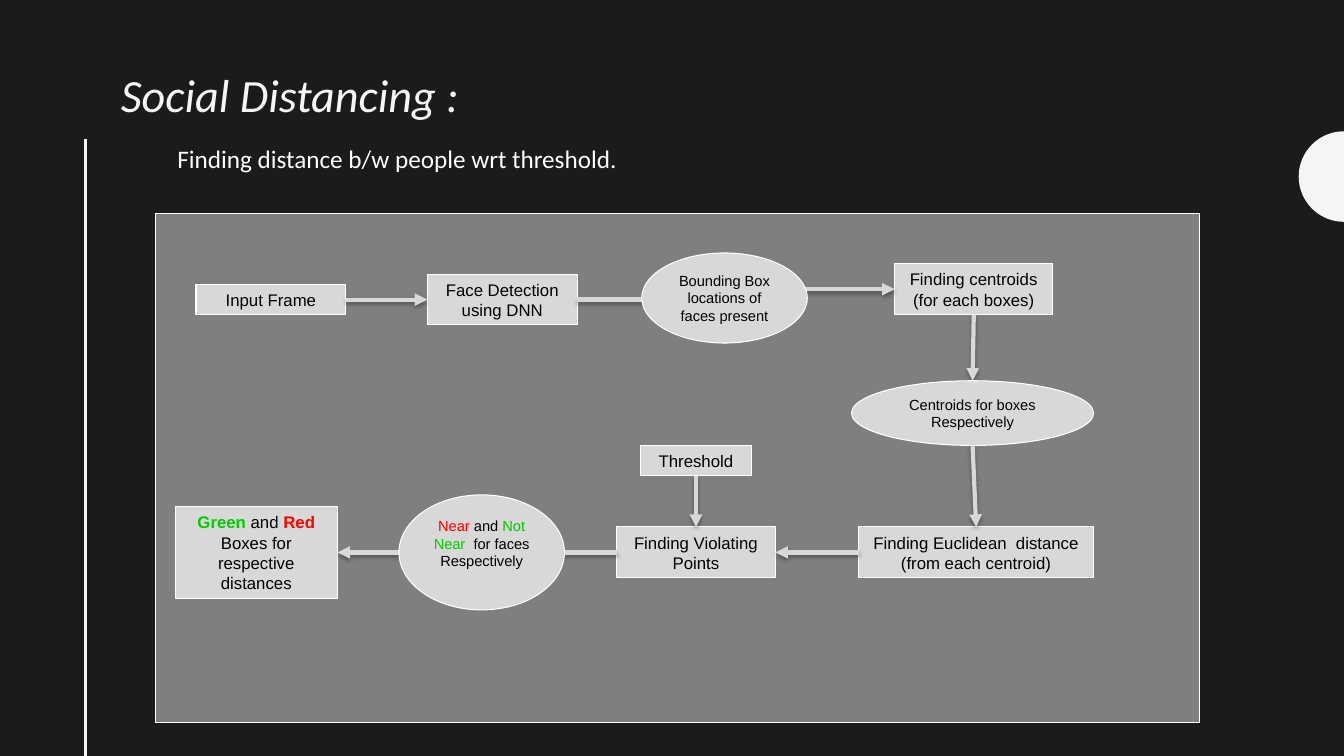
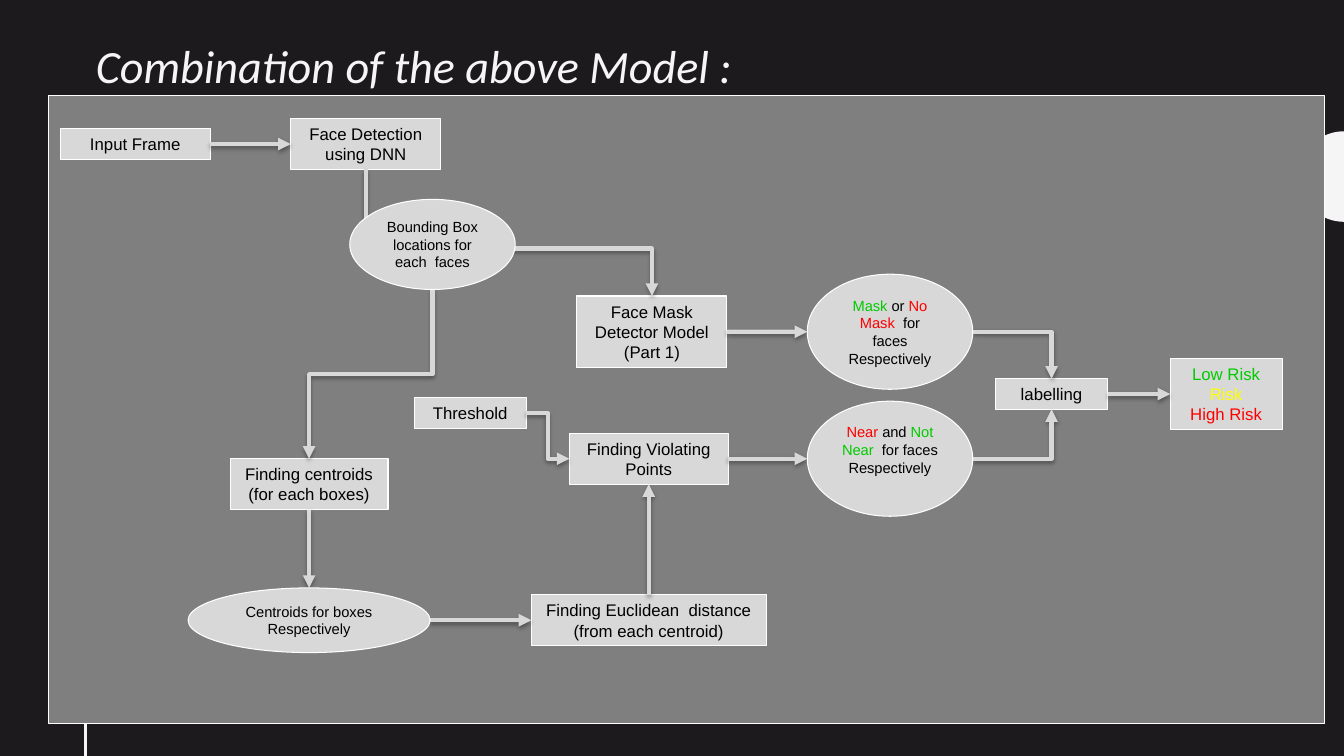
from dataclasses import dataclass
from math import cos, pi, sin

from lxml.etree import SubElement
from pptx import Presentation
from pptx.dml.color import RGBColor
from pptx.enum.shapes import MSO_CONNECTOR, MSO_SHAPE
from pptx.enum.text import MSO_ANCHOR, MSO_AUTO_SIZE, PP_ALIGN
from pptx.oxml.ns import qn
from pptx.util import Cm, Pt


@dataclass(frozen=True)
class Theme:
    background: RGBColor = RGBColor(0x1D, 0x1A, 0x1D)
    accent: RGBColor = RGBColor(0xF5, 0xF5, 0xF5)
    panel: RGBColor = RGBColor(0x7F, 0x7F, 0x7F)
    step: RGBColor = RGBColor(0xD8, 0xD8, 0xD8)
    white: RGBColor = RGBColor(0xFF, 0xFF, 0xFF)
    ink: RGBColor = RGBColor(0, 0, 0)
    green: RGBColor = RGBColor(0, 0xCC, 0)
    red: RGBColor = RGBColor(0xFF, 0, 0)
    yellow: RGBColor = RGBColor(0xFF, 0xFF, 0)
    heading_font: str = "Calibri"
    step_font: str = "Arial"
    title_size: Pt = Pt(33)
    lead_size: Pt = Pt(18)
    process_size: Pt = Pt(12)
    result_size: Pt = Pt(10.5)
    outline: Pt = Pt(0.75)
    link_width: Pt = Pt(3)


theme = Theme()
TOP, LEFT, BOTTOM, RIGHT = range(4)

# Processes are rectangles, results are ellipses: width, height, paragraphs.
# A paragraph is plain text or a list of (text, colour, bold) runs.
near_or_not = [("Near", theme.red, False), (" and ", theme.ink, False),
               ("Not Near ", theme.green, False),
               (" for faces Respectively", theme.ink, False)]
processes = {
    "input": (3.78, 0.77, ["Input Frame"]),
    "detection": (3.78, 1.28, ["Face Detection using DNN"]),
    "centroids": (3.98, 1.28, ["Finding centroids", "(for each boxes)"]),
    "euclidean": (5.92, 1.28, ["Finding Euclidean  distance", "(from each centroid)"]),
    "violating": (4, 1.28, ["Finding Violating Points"]),
    "threshold": (2.82, 0.77, ["Threshold"]),
    "colour boxes": (4.09, 2.31, [[
        ("Green", theme.green, True), (" and ", theme.ink, False),
        ("Red", theme.red, True), (" Boxes for respective distances", theme.ink, False)]]),
    "mask model": (3.78, 1.8, ["Face Mask Detector Model", "(Part 1)"]),
    "labelling": (2.82, 0.77, ["labelling"]),
    "risk": (2.82, 1.8, [[("Low Risk", theme.green, False)],
                         [("Risk", theme.yellow, False)],
                         [("High Risk", theme.red, False)]]),
}
results = {
    "faces present": (4.17, 2.27, ["Bounding Box locations of faces present"]),
    "each face": (4.17, 2.27, ["Bounding Box locations for each  faces"]),
    "box centroids": (6.1, 1.63, ["Centroids for boxes Respectively"]),
    "nearness": (4.17, 2.9, [near_or_not]),
    "mask result": (4.17, 2.9, [[
        ("Mask", theme.green, False), (" or ", theme.ink, False),
        ("No Mask  ", theme.red, False), ("for faces Respectively", theme.ink, False)]]),
}
steps = processes | results

# Each slide: step centres in cm, then links as
# (from, side, to, side, bends, position of the middle bend)
pages = [
    {
        "title": "Social Distancing :",
        "title_at": (2.79, 1.35),
        "lead": "Finding distance b/w people wrt threshold.",
        "panel": (3.92, 5.38, 26.31, 12.83),
        "centres": {
            "input": (6.83, 7.55), "detection": (12.66, 7.55),
            "faces present": (18.26, 7.51), "centroids": (24.54, 7.29),
            "box centroids": (24.51, 10.41), "euclidean": (24.6, 13.92),
            "violating": (17.54, 13.92), "threshold": (17.54, 11.61),
            "nearness": (12.14, 13.92), "colour boxes": (6.46, 13.92),
        },
        "links": [
            ("input", RIGHT, "detection", LEFT, 0, 0),
            ("detection", RIGHT, "centroids", LEFT, 2, 0.5),
            ("centroids", BOTTOM, "box centroids", TOP, 0, 0),
            ("box centroids", BOTTOM, "euclidean", TOP, 0, 0),
            ("euclidean", LEFT, "violating", RIGHT, 0, 0),
            ("threshold", BOTTOM, "violating", TOP, 0, 0),
            ("violating", LEFT, "colour boxes", RIGHT, 0, 0),
        ],
    },
    {
        "title": "Combination of the above Model :",
        "title_at": (2.16, 0.61),
        "lead": None,
        "panel": (1.22, 2.41, 32.16, 15.82),
        "centres": {
            "input": (3.41, 3.63), "detection": (9.22, 3.63),
            "each face": (10.9, 6.16), "mask model": (16.43, 8.36),
            "mask result": (22.43, 8.36), "centroids": (7.79, 12.2),
            "box centroids": (7.79, 15.63), "euclidean": (16.35, 15.63),
            "violating": (16.35, 11.56), "threshold": (11.85, 10.41),
            "nearness": (22.43, 11.56), "labelling": (26.5, 9.93),
            "risk": (30.9, 9.93),
        },
        "links": [
            ("input", RIGHT, "detection", LEFT, 0, 0),
            ("detection", BOTTOM, "mask model", TOP, 2, 0.625),
            ("each face", BOTTOM, "centroids", TOP, 2, 0.5),
            ("centroids", BOTTOM, "box centroids", TOP, 0, 0),
            ("box centroids", RIGHT, "euclidean", LEFT, 0, 0),
            ("euclidean", TOP, "violating", BOTTOM, 0, 0),
            ("threshold", RIGHT, "violating", LEFT, 2, 0.5),
            ("mask model", RIGHT, "mask result", LEFT, 0, 0),
            ("violating", RIGHT, "nearness", LEFT, 0, 0),
            ("mask result", RIGHT, "labelling", TOP, 1, 0),
            ("nearness", RIGHT, "labelling", BOTTOM, 1, 0),
            ("labelling", RIGHT, "risk", LEFT, 0, 0),
        ],
    },
]


def add_step(slide, step, centre):
    """Draw one labelled step around its centre."""
    width, height, paragraphs = steps[step]
    is_process = step in processes
    box = slide.shapes.add_shape(
        MSO_SHAPE.RECTANGLE if is_process else MSO_SHAPE.OVAL,
        Cm(centre[0] - width / 2), Cm(centre[1] - height / 2), Cm(width), Cm(height))
    box.shadow.inherit = False
    box.fill.solid()
    box.fill.fore_color.rgb = theme.step
    box.line.color.rgb = theme.white
    box.line.width = theme.outline
    frame = box.text_frame
    frame.word_wrap = True
    frame.vertical_anchor = MSO_ANCHOR.MIDDLE
    if step == "nearness":
        frame.margin_bottom = Cm(0.58)
    for number, content in enumerate(paragraphs):
        paragraph = frame.add_paragraph() if number else frame.paragraphs[0]
        paragraph.alignment = PP_ALIGN.CENTER
        runs = [(content, theme.ink, False)] if isinstance(content, str) else content
        for text, colour, bold in runs:
            run = paragraph.add_run()
            run.text = text
            run.font.name = theme.step_font
            run.font.size = theme.process_size if is_process else theme.result_size
            run.font.bold = bold
            run.font.color.rgb = colour
    return box


def add_link(slide, centres, boxes, link):
    """Draw an arrow between two step sides, with 0, 1 or 2 bends."""
    start, start_side, end, end_side, bends, bend_at = link
    ends = []
    for step, side in ((start, start_side), (end, end_side)):
        width, height, _ = steps[step]
        x, y = centres[step]
        ends += [x + {LEFT: -width / 2, RIGHT: width / 2}.get(side, 0),
                 y + {TOP: -height / 2, BOTTOM: height / 2}.get(side, 0)]
    x1, y1, x2, y2 = ends
    arrow = slide.shapes.add_connector(
        MSO_CONNECTOR.ELBOW if bends else MSO_CONNECTOR.STRAIGHT, *map(Cm, ends))
    if start in boxes:
        arrow.begin_connect(boxes[start], start_side)
    if end in boxes:
        arrow.end_connect(boxes[end], end_side)
    arrow.line.color.rgb = theme.step
    arrow.line.width = theme.link_width
    properties = arrow._element.spPr
    geometry = properties.find(qn("a:prstGeom"))
    if bends == 1:
        geometry.set("prst", "bentConnector2")
    elif bends == 2:
        SubElement(geometry.find(qn("a:avLst")), qn("a:gd"), name="adj1",
                   fmla=f"val {round(bend_at * 100000)}")
        if start_side == BOTTOM:
            # A route that leaves downwards is a sideways one turned by 90 degrees
            across, down = abs(x2 - x1), y2 - y1
            arrow.left, arrow.top = Cm((x1 + x2 - down) / 2), Cm((y1 + y2 - across) / 2)
            arrow.width, arrow.height = Cm(down), Cm(across)
            turn = properties.find(qn("a:xfrm"))
            turn.set("rot", "5400000")
            turn.set("flipH", "0")
            turn.set("flipV", "1" if x2 > x1 else "0")
    # Arrowhead and soft shadow
    SubElement(properties.find(qn("a:ln")), qn("a:tailEnd"), type="triangle")
    effects = SubElement(properties, qn("a:effectLst"))
    shadow = SubElement(effects, qn("a:outerShdw"), blurRad="39400", dist="22900",
                        dir="5400000", rotWithShape="0")
    black = SubElement(shadow, qn("a:srgbClr"), val="000000")
    SubElement(black, qn("a:alpha"), val="35000")


prs = Presentation()
prs.slide_width, prs.slide_height = Cm(33.87), Cm(19.05)
backdrop = prs.slide_master.background.fill
backdrop.solid()
backdrop.fore_color.rgb = theme.background

for page in pages:
    slide = prs.slides.add_slide(prs.slide_layouts[5])

    # Side rule and half disc at the right edge
    rule = slide.shapes.add_connector(
        MSO_CONNECTOR.STRAIGHT, Cm(2.16), Cm(3.51), Cm(2.16), Cm(19.05))
    rule.line.color.rgb = theme.accent
    rule.line.width = Pt(2)
    SubElement(rule._element.spPr, qn("a:effectLst"))
    arc = [(Cm(33.87 - 1.14 * sin(pi * i / 48)), Cm(4.45 - 1.14 * cos(pi * i / 48)))
           for i in range(49)]
    outline = slide.shapes.build_freeform(*arc[0])
    outline.add_line_segments(arc[1:], close=True)
    half_disc = outline.convert_to_shape()
    half_disc.shadow.inherit = False
    half_disc.fill.solid()
    half_disc.fill.fore_color.rgb = theme.accent
    half_disc.line.fill.background()

    # Title
    title = slide.shapes.title
    title.left, title.top = map(Cm, page["title_at"])
    title.width, title.height = Cm(19.53), Cm(1.96)
    title.text_frame.text = page["title"]
    title.text_frame.auto_size = MSO_AUTO_SIZE.NONE
    title.text_frame.vertical_anchor = MSO_ANCHOR.TOP
    heading = title.text_frame.paragraphs[0]
    heading.alignment = PP_ALIGN.LEFT
    heading.line_spacing = 1.14
    heading_font = heading.runs[0].font
    heading_font.name, heading_font.size = theme.heading_font, theme.title_size
    heading_font.italic = True
    heading_font.color.rgb = theme.accent

    # Lead sentence
    if page["lead"]:
        lead = slide.shapes.add_textbox(Cm(3.92), Cm(3.48), Cm(27.28), Cm(1.02))
        lead.text_frame.word_wrap = True
        lead.text_frame.margin_left = Cm(0.55)
        lead.text_frame.text = page["lead"]
        lead_font = lead.text_frame.paragraphs[0].runs[0].font
        lead_font.name, lead_font.size = theme.heading_font, theme.lead_size
        lead_font.color.rgb = theme.white

    # Panel behind the flow chart
    panel = slide.shapes.add_shape(MSO_SHAPE.RECTANGLE, *map(Cm, page["panel"]))
    panel.shadow.inherit = False
    panel.fill.solid()
    panel.fill.fore_color.rgb = theme.panel
    panel.line.color.rgb = theme.white
    panel.line.width = theme.outline

    # Flow chart: results lie over the arrows that pass through them
    centres = page["centres"]
    boxes = {step: add_step(slide, step, centre)
             for step, centre in centres.items() if step in processes}
    for link in page["links"]:
        add_link(slide, centres, boxes, link)
    for step, centre in centres.items():
        if step in results:
            add_step(slide, step, centre)

prs.save("out.pptx")
